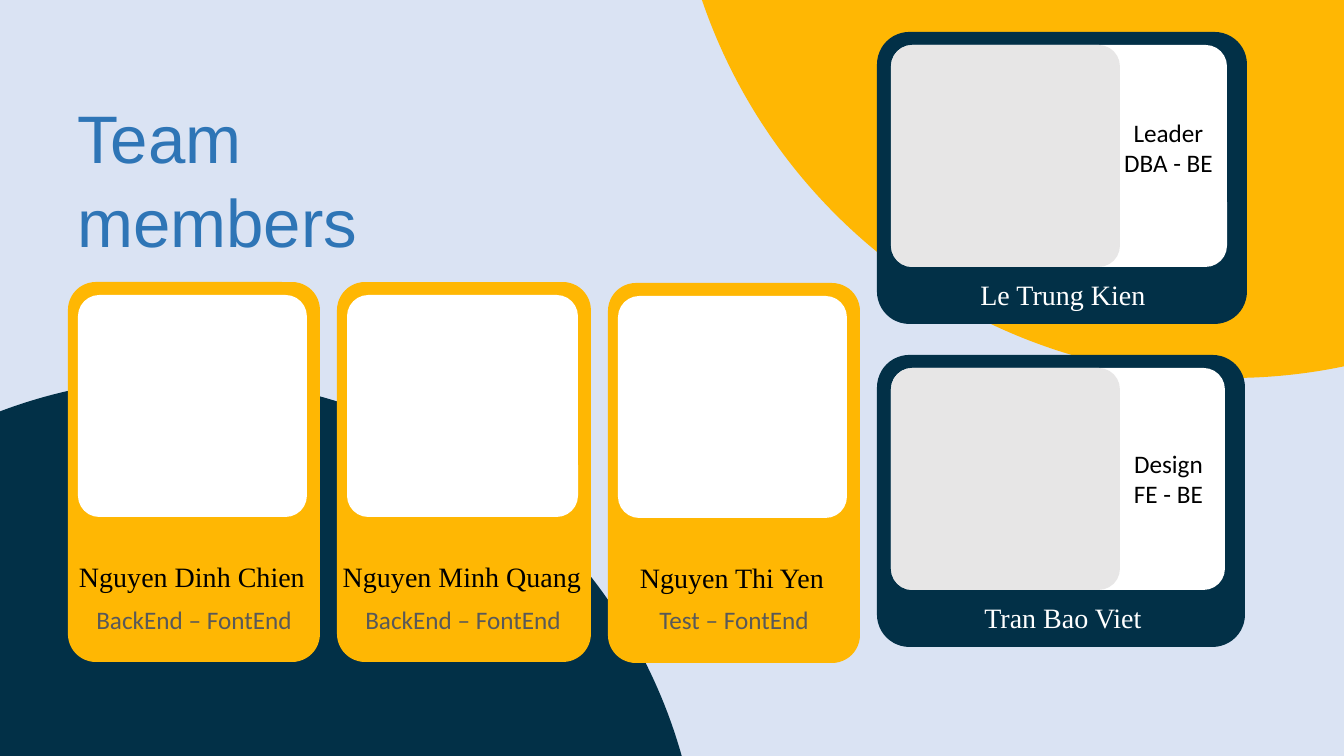
"""Build the team members slide with its five member cards."""
from dataclasses import dataclass
from typing import Any, Optional

from pptx import Presentation
from pptx import util as u
from pptx.dml.color import RGBColor
from pptx.enum import shapes, text

EMU_PER_PX = 914400 / 100.8


@dataclass(frozen=True)
class Theme:
    background: str = "DAE3F3"
    amber: str = "FFB703"
    navy: str = "023047"
    white: str = "FFFFFF"
    photo: str = "E7E6E6"
    title: str = "2E75B6"
    black: str = "000000"
    muted: str = "595959"
    title_font: str = "Arial"
    name_font: str = "Times New Roman"
    role_font: str = "Calibri"
    title_size: int = 48
    name_size: int = 20
    role_size: int = 18
    card_corner: float = 0.111
    window_corner: float = 0.096


THEME = Theme()


@dataclass(frozen=True)
class Box:
    left: int
    top: int
    width: int
    height: int

    def emu(self) -> list[u.Emu]:
        lengths = (self.left, self.top, self.width, self.height)
        return [u.Emu(round(length * EMU_PER_PX)) for length in lengths]


@dataclass(frozen=True)
class Member:
    name: str
    role: str
    card: Box
    window: Box
    name_box: Box
    role_box: Box
    card_color: str
    name_color: str
    role_color: str
    photo: Optional[Box] = None


def developer(name: str, role: str, left: int, top: int, width: int) -> Member:
    """Describe an upright card with the role under the name."""
    return Member(
        name, role,
        card=Box(left, top, width, 380),
        window=Box(left + 10, top + 13, width - 23, 222),
        name_box=Box(left - 2, top + 273, width, 44),
        role_box=Box(left + 3, 599, 246, 40),
        card_color=THEME.amber, name_color=THEME.black, role_color=THEME.muted,
    )


def lead(name: str, role: str, top: int, width: int, role_top: int) -> Member:
    """Describe a wide card with the role beside the photo."""
    return Member(
        name, role,
        card=Box(877, top, width, 292),
        window=Box(891, top + 13, width - 34, 222),
        name_box=Box(970, top + 241, 186, 44),
        role_box=Box(1111, role_top, 115, 72),
        card_color=THEME.navy, name_color=THEME.white, role_color=THEME.black,
        photo=Box(891, top + 13, 229, 222),
    )


MEMBERS = [
    developer("Nguyen Dinh Chien", "BackEnd – FontEnd", 68, 282, 252),
    developer("Nguyen Minh Quang", "BackEnd – FontEnd", 337, 282, 254),
    developer("Nguyen Thi Yen", "Test – FontEnd", 608, 283, 252),
    lead("Le Trung Kien", "Leader\vDBA - BE", 32, 370, 112),
    lead("Tran Bao Viet", "Design\vFE - BE", 355, 368, 443),
]


def add_plain(parent: Any, kind: shapes.MSO_SHAPE, box: Box, color: str,
              corner: Optional[float] = None) -> None:
    """Add a flat filled shape."""
    shape = parent.shapes.add_shape(kind, *box.emu())
    shape.shadow.inherit = False
    shape.fill.solid()
    shape.fill.fore_color.rgb = RGBColor.from_string(color)
    shape.line.fill.background()
    if corner is not None:
        shape.adjustments[0] = corner


def style_runs(paragraph: Any, font: str, size: int, color: str) -> None:
    """Format every run of a paragraph."""
    for run in paragraph.runs:
        run.font.name = font
        run.font.size = u.Pt(size)
        run.font.color.rgb = RGBColor.from_string(color)


def add_label(parent: Any, box: Box, words: str, font: str, size: int,
              color: str) -> None:
    """Add a centred text box."""
    text_frame = parent.shapes.add_textbox(*box.emu()).text_frame
    text_frame.word_wrap = True
    text_frame.margin_left = text_frame.margin_right = 0
    paragraph = text_frame.paragraphs[0]
    paragraph.text = words
    paragraph.alignment = text.PP_ALIGN.CENTER
    style_runs(paragraph, font, size, color)


def add_title(slide: Any, box: Box, words: str) -> None:
    """Place and format the title placeholder."""
    title = slide.shapes.title
    title.left, title.top, title.width, title.height = box.emu()
    text_frame = title.text_frame
    text_frame.text = words
    text_frame.word_wrap = True
    text_frame.auto_size = text.MSO_AUTO_SIZE.NONE
    text_frame.vertical_anchor = text.MSO_ANCHOR.TOP
    paragraph = text_frame.paragraphs[0]
    paragraph.alignment = text.PP_ALIGN.LEFT
    paragraph.line_spacing = 1.05
    style_runs(paragraph, THEME.title_font, THEME.title_size, THEME.title)


def add_member(slide: Any, member: Member) -> None:
    """Draw one member card."""
    rounded = shapes.MSO_SHAPE.ROUNDED_RECTANGLE
    group = slide.shapes.add_group_shape()
    add_plain(group, rounded, member.card, member.card_color, THEME.card_corner)
    add_plain(group, rounded, member.window, THEME.white, THEME.window_corner)
    add_label(group, member.name_box, member.name, THEME.name_font,
              THEME.name_size, member.name_color)
    if member.photo:
        add_plain(slide, rounded, member.photo, THEME.photo, THEME.window_corner)
    add_label(slide, member.role_box, member.role, THEME.role_font,
              THEME.role_size, member.role_color)


def main() -> None:
    """Build and save the presentation."""
    presentation = Presentation()
    canvas = Box(0, 0, 1344, 756).emu()
    presentation.slide_width, presentation.slide_height = canvas[2:]
    slide = presentation.slides.add_slide(presentation.slide_layouts[5])
    slide.background.fill.solid()
    slide.background.fill.fore_color.rgb = RGBColor.from_string(THEME.background)
    add_title(slide, Box(67, 87, 416, 180), "Team members")
    add_plain(slide, shapes.MSO_SHAPE.OVAL, Box(672, -739, 1117, 1117), THEME.amber)
    add_plain(slide, shapes.MSO_SHAPE.OVAL, Box(-335, 378, 1036, 1036), THEME.navy)
    for member in MEMBERS:
        add_member(slide, member)
    presentation.save("out.pptx")


if __name__ == "__main__":
    main()
